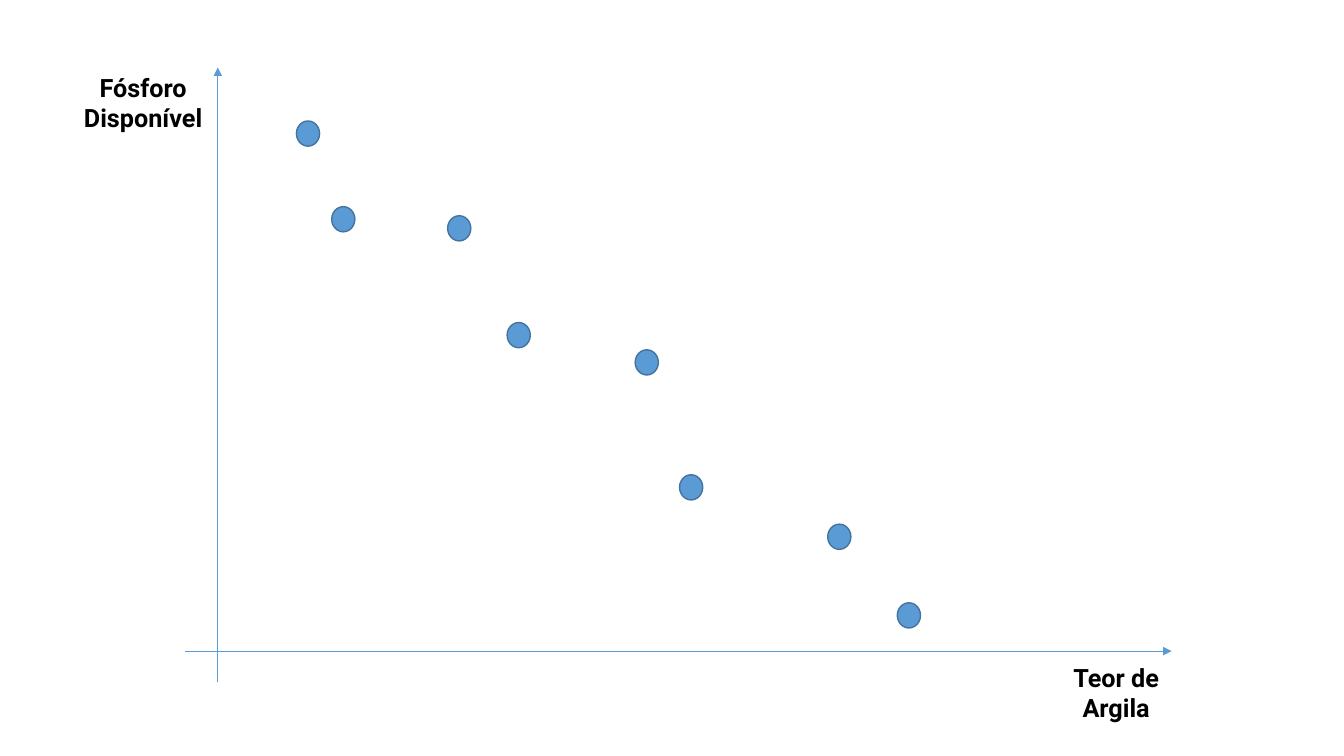
"""Build a slide that plots available phosphorus against clay content."""
from lxml import etree
from pptx import Presentation
from pptx.dml.color import RGBColor
from pptx.enum.shapes import MSO_CONNECTOR, MSO_SHAPE
from pptx.enum.text import MSO_AUTO_SIZE, PP_ALIGN
from pptx.oxml.ns import qn
from pptx.util import Inches, Pt

AXES = [((1.84, 6.46), (11.62, 6.46)), ((2.16, 6.77), (2.16, 0.67))]
DOTS = [(2.94, 1.2), (4.44, 2.14), (3.29, 2.05), (5.03, 3.2),
        (6.3, 3.47), (6.74, 4.71), (8.21, 5.2), (8.9, 5.98)]
DOT_SIZE = (0.23, 0.25)
LABELS = [((0.68, 0.67), ["Fósforo", "Disponível"]),
          ((10.33, 6.52), ["Teor de Argila"])]
LABEL_SIZE = (1.48, 0.71)
FONT = {"name": "Roboto", "size": Pt(18), "bold": True}
BLUE, EDGE, BLACK = "5B9BD5", "43739E", "000000"


def color(code):
    return RGBColor.from_string(code)


def inches(*pairs):
    return [Inches(value) for pair in pairs for value in pair]


def set_line(line, code, width):
    line.color.rgb = color(code)
    line.width = Pt(width)


def add_axis(shapes, start, end):
    axis = shapes.add_connector(MSO_CONNECTOR.STRAIGHT, *inches(start, end))
    set_line(axis.line, BLUE, 0.5)
    etree.SubElement(axis.line._get_or_add_ln(), qn("a:tailEnd"), type="triangle")
    etree.SubElement(axis._element.spPr, qn("a:effectLst"))


def add_dot(shapes, place):
    dot = shapes.add_shape(MSO_SHAPE.OVAL, *inches(place, DOT_SIZE))
    dot.shadow.inherit = False
    dot.fill.solid()
    dot.fill.fore_color.rgb = color(BLUE)
    set_line(dot.line, EDGE, 1)


def add_label(shapes, place, lines):
    frame = shapes.add_textbox(*inches(place, LABEL_SIZE)).text_frame
    frame.word_wrap = True
    frame.auto_size = MSO_AUTO_SIZE.SHAPE_TO_FIT_TEXT
    frame.text = "\n".join(lines)
    for para in frame.paragraphs:
        para.alignment = PP_ALIGN.CENTER
        font = para.runs[0].font
        font.color.rgb = color(BLACK)
        for name, value in FONT.items():
            setattr(font, name, value)


deck = Presentation()
deck.slide_width, deck.slide_height = inches((13.33, 7.5))
shapes = deck.slides.add_slide(deck.slide_layouts[6]).shapes
for start, end in AXES:
    add_axis(shapes, start, end)
for place in DOTS:
    add_dot(shapes, place)
for place, lines in LABELS:
    add_label(shapes, place, lines)
deck.save("out.pptx")
